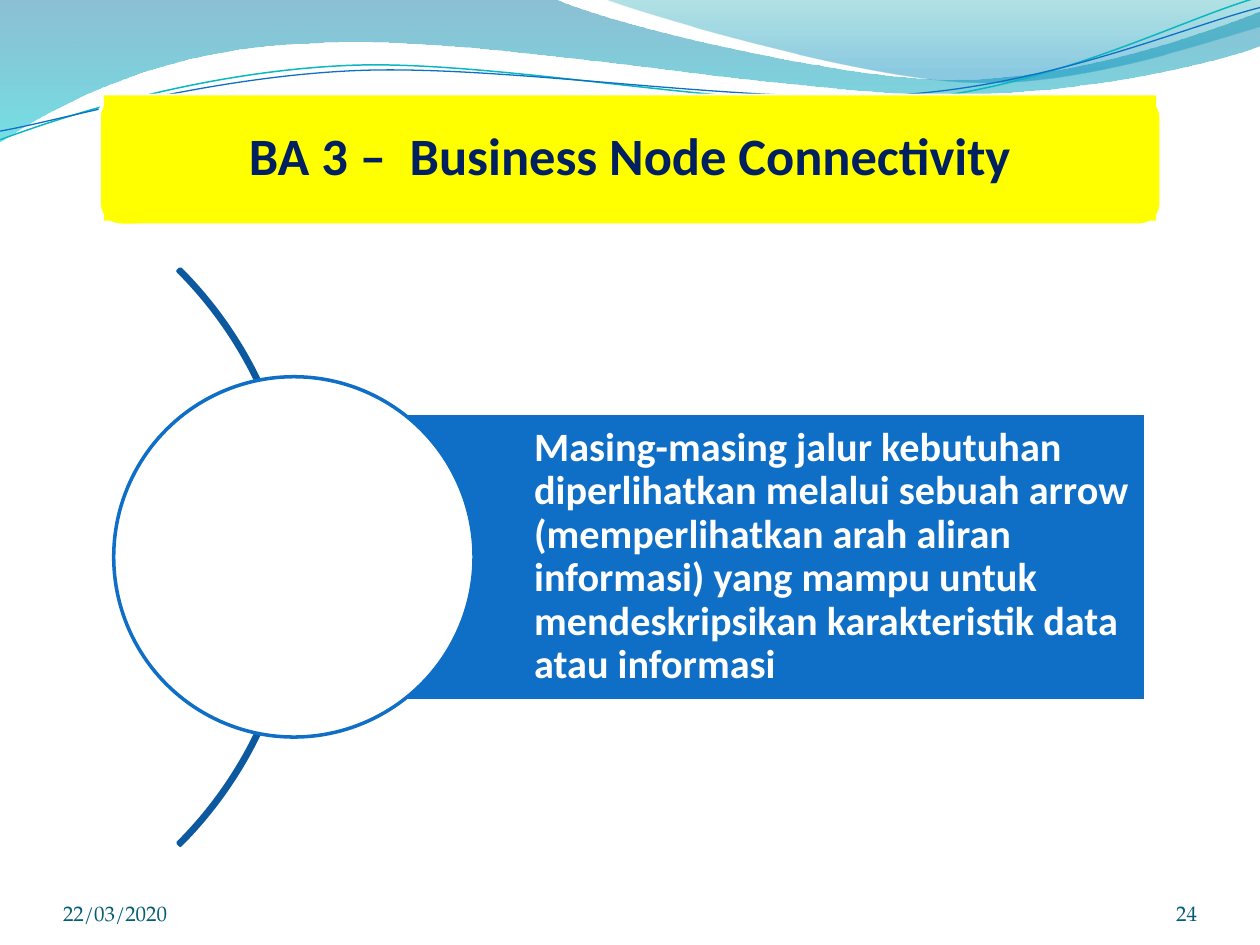
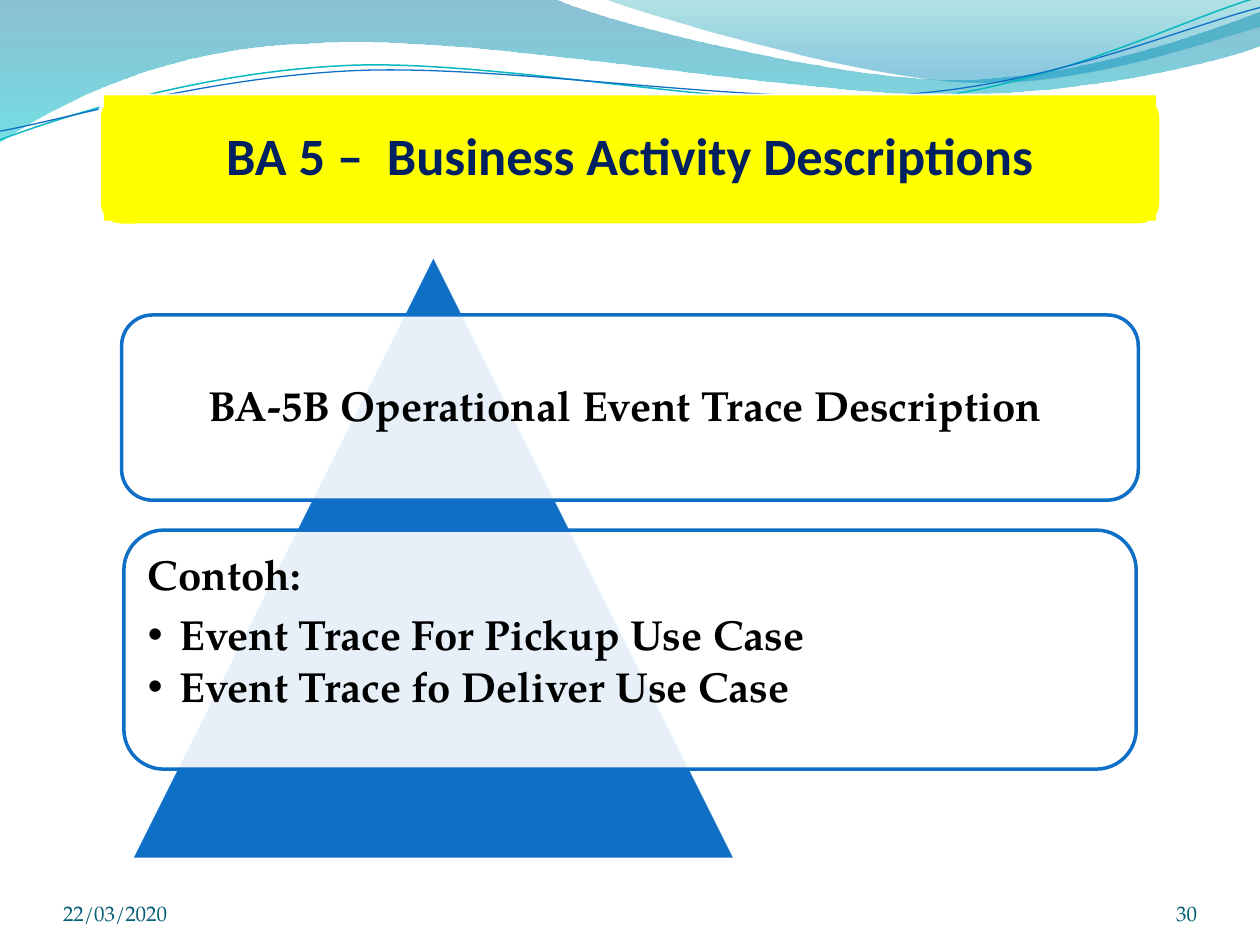
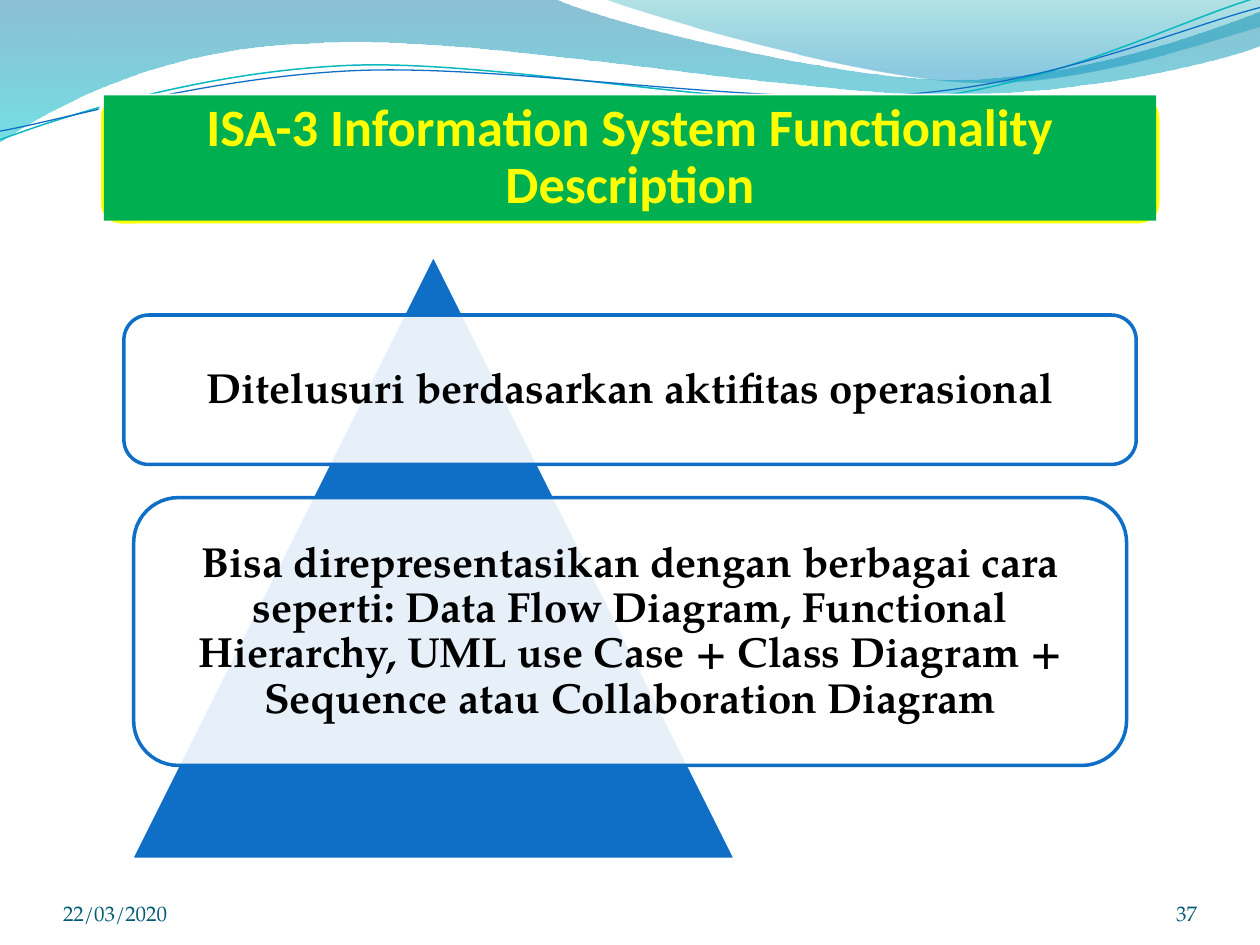
from lxml.etree import SubElement
from pptx import Presentation
from pptx.dml.color import RGBColor
from pptx.enum.shapes import MSO_SHAPE
from pptx.enum.text import MSO_ANCHOR, PP_ALIGN
from pptx.oxml.ns import qn
from pptx.util import Pt

BLUE, DARK_BLUE, NAVY, TEAL = "0F6FC6", "0C599F", "002060", "045D75"
YELLOW, GREEN, WHITE, BLACK = "FFFF00", "00B050", "FFFFFF", "000000"
SANS, SERIF = "Calibri", "TeX Gyre Pagella"
DATE = "22/03/2020"

WAVES = [
    {"start": (0, 0),
     "segments": [(316.8, -0.7),
                  (342.7, 12.2, 478.1, 45.4, 545.8, 45.4),
                  (614.2, 45.4, 689.8, 18.7, 720, 6.5),
                  (720.7, 25.9),
                  (707.8, 31.7, 626.4, 54.7, 537.1, 54),
                  (447.8, 54, 275, 20.2, 185, 24.5),
                  (92.9, 25.9, 33.1, 59.8, -0.7, 81.4)],
     "stops": [(0, "0074A1", 45), (1, "00C6CF", 55)]},
    {"start": (344.9, -0.7),
     "segments": [(366.5, 7.9, 491, 44.6, 553.7, 46.8),
                  (616.3, 49.7, 691.9, 23, 720, 15.1),
                  (720, 0)],
     "stops": [(0, "00A1A9", 30), (0.8, "008BBF", 45)]},
    {"start": (0, 79.9),
     "segments": [(34.6, 67, 113.8, 41, 199.4, 37.4),
                  (284.4, 33.8, 427, 64.1, 513.4, 57.6),
                  (599.8, 51.1, 675.4, 10.8, 718.6, -1.4)],
     "line": ("0AB8BF", 0.85)},
    {"start": (0, 74.9),
     "segments": [(33.8, 69.1, 118.1, 43.9, 203.8, 40.3),
                  (290.2, 36.7, 429.8, 60.5, 516.2, 54),
                  (601.9, 48.2, 677.5, 15.1, 720, 4.3)],
     "line": (BLUE, 0.75)},
]

SLIDES = [
    {"number": "24", "title": "BA 3 –  Business Node Connectivity",
     "title_colors": (YELLOW, NAVY),
     "statement": "Masing-masing jalur kebutuhan diperlihatkan melalui sebuah arrow "
                  "(memperlihatkan arah aliran informasi) yang mampu untuk "
                  "mendeskripsikan karakteristik data atau informasi"},
    {"number": "30", "title": "BA 5 –  Business Activity Descriptions",
     "title_colors": (YELLOW, NAVY),
     "panels": [
         {"box": (69.5, 180, 581, 105.84),
          "text": "BA-5B Operational Event Trace Description "},
         {"box": (70.8, 302.9, 578.5, 136.6), "text": "Contoh:",
          "bullets": ["Event Trace For Pickup Use Case",
                      "Event Trace fo Deliver Use Case"]}]},
    {"number": "37", "title": "ISA-3 Information System Functionality Description",
     "title_colors": (GREEN, YELLOW),
     "panels": [
         {"box": (70.8, 180, 578.5, 85.4),
          "text": "Ditelusuri berdasarkan aktifitas operasional"},
         {"box": (76.4, 284.4, 567.36, 153),
          "text": "Bisa direpresentasikan dengan berbagai cara seperti: Data Flow "
                  "Diagram, Functional Hierarchy, UML use Case + Class Diagram + "
                  "Sequence atau Collaboration Diagram"}]},
]


def color(value):
    return RGBColor.from_string(value)


def set_alpha(color_element, percent):
    SubElement(color_element, qn("a:alpha"), val=str(percent * 1000))


def bend_segments(shape, segments):
    vertices = iter(list(shape._element.iter(qn("a:lnTo"))))
    for segment in segments:
        curve = next(vertices)
        if len(segment) == 6:
            curve.tag = qn("a:cubicBezTo")
            for vertex in (next(vertices), next(vertices)):
                curve.append(vertex[0])
                vertex.getparent().remove(vertex)


def add_wave(slide, wave):
    segments = wave["segments"]
    points = [(Pt(x), Pt(y)) for segment in segments
              for x, y in zip(segment[::2], segment[1::2])]
    builder = slide.shapes.build_freeform(*map(Pt, wave["start"]), scale=1.0)
    builder.add_line_segments(points, close="stops" in wave)
    shape = builder.convert_to_shape()
    bend_segments(shape, segments)
    shape.shadow.inherit = False
    if "line" in wave:
        line_color, width = wave["line"]
        shape.fill.background()
        shape.line.color.rgb = color(line_color)
        shape.line.width = Pt(width)
        return
    shape.line.fill.background()
    shape.fill.gradient()
    shape.fill.gradient_angle = 270
    for stop, (position, value, _) in zip(shape.fill.gradient_stops, wave["stops"]):
        stop.position = position
        stop.color.rgb = color(value)
    stop_colors = list(shape._element.spPr.iter(qn("a:srgbClr")))
    for element, (_, _, opacity) in zip(stop_colors, wave["stops"]):
        set_alpha(element, opacity)


def add_shape(slide, kind, box, fill, line=None, opacity=100):
    shape = slide.shapes.add_shape(kind, *map(Pt, box))
    shape.shadow.inherit = False
    shape.fill.solid()
    shape.fill.fore_color.rgb = color(fill)
    if opacity < 100:
        set_alpha(shape._element.spPr.find(".//" + qn("a:srgbClr")), opacity)
    if line:
        shape.line.color.rgb = color(line)
        shape.line.width = Pt(2)
    else:
        shape.line.fill.background()
    return shape


def set_frame(shape, insets, anchor=MSO_ANCHOR.MIDDLE):
    frame = shape.text_frame
    frame.word_wrap = True
    frame.vertical_anchor = anchor
    frame.margin_left, frame.margin_top, frame.margin_right, frame.margin_bottom = map(Pt, insets)
    return frame


def style(paragraph, text, size, font, font_color, bold=True,
          align=PP_ALIGN.CENTER, spacing=0.9, after=0):
    paragraph.text = text
    paragraph.alignment = align
    paragraph.line_spacing = spacing
    paragraph.space_after = Pt(after)
    paragraph.font.size = Pt(size)
    paragraph.font.name = font
    paragraph.font.bold = bold
    paragraph.font.color.rgb = color(font_color)


def add_bullet(paragraph):
    properties = paragraph._p.get_or_add_pPr()
    properties.set("marL", str(Pt(18)))
    properties.set("indent", str(-Pt(18)))
    SubElement(properties, qn("a:buFont"), typeface="Arial")
    SubElement(properties, qn("a:buChar"), char="•")


def add_footer(slide, text, left, width, align):
    box = slide.shapes.add_textbox(Pt(left), Pt(500.4), Pt(width), Pt(28.8))
    frame = set_frame(box, (0, 0, 0, 0), MSO_ANCHOR.BOTTOM)
    style(frame.paragraphs[0], text, 12, SERIF, TEAL, False, align, 1.0)


def add_title(slide, text, fill, font_color):
    add_shape(slide, MSO_SHAPE.ROUNDED_RECTANGLE, (56.6, 54.6, 606.96, 74.16), YELLOW, WHITE)
    title = add_shape(slide, MSO_SHAPE.RECTANGLE, (59.4, 54.6, 601.2, 71.5), fill)
    frame = set_frame(title, (8.64,) * 4)
    style(frame.paragraphs[0], text, 30, SANS, font_color)


def add_statement(slide, text):
    arc = add_shape(slide, MSO_SHAPE.BLOCK_ARC, (-294.6, 85.4, 465.84, 465.84), DARK_BLUE, DARK_BLUE)
    for index, value in enumerate((189, 27, 0.004)):
        arc.adjustments[index] = value
    bar = add_shape(slide, MSO_SHAPE.RECTANGLE, (167.76, 236.16, 487.1, 164.16), BLUE, WHITE)
    frame = set_frame(bar, (137.52, 4.32, 4.32, 4.32))
    style(frame.paragraphs[0], text, 23, SANS, WHITE, align=PP_ALIGN.LEFT)
    add_shape(slide, MSO_SHAPE.OVAL, (65, 215.28, 205.92, 205.92), WHITE, BLUE)


def add_pyramid(slide, panels):
    add_shape(slide, MSO_SHAPE.ISOSCELES_TRIANGLE, (74.88, 145.44, 345.6, 345.6), BLUE, WHITE)
    for panel in panels:
        bullets = panel.get("bullets", [])
        align = PP_ALIGN.LEFT if bullets else PP_ALIGN.CENTER
        shape = add_shape(slide, MSO_SHAPE.ROUNDED_RECTANGLE, panel["box"], WHITE, BLUE, 90)
        frame = set_frame(shape, (7.2,) * 4, MSO_ANCHOR.TOP if bullets else MSO_ANCHOR.MIDDLE)
        style(frame.paragraphs[0], panel["text"], 24, SERIF, BLACK,
              align=align, after=8.4 if bullets else 0)
        for text in bullets:
            paragraph = frame.add_paragraph()
            add_bullet(paragraph)
            style(paragraph, text, 24, SERIF, BLACK, align=align, after=3.6)


def main():
    presentation = Presentation()
    presentation.slide_width, presentation.slide_height = Pt(720), Pt(540)
    for content in SLIDES:
        slide = presentation.slides.add_slide(presentation.slide_layouts[6])
        for wave in WAVES:
            add_wave(slide, wave)
        add_footer(slide, DATE, 36, 168, PP_ALIGN.LEFT)
        add_footer(slide, content["number"], 624, 60, PP_ALIGN.RIGHT)
        add_title(slide, content["title"], *content["title_colors"])
        if "statement" in content:
            add_statement(slide, content["statement"])
        else:
            add_pyramid(slide, content["panels"])
    presentation.save("out.pptx")


if __name__ == "__main__":
    main()
